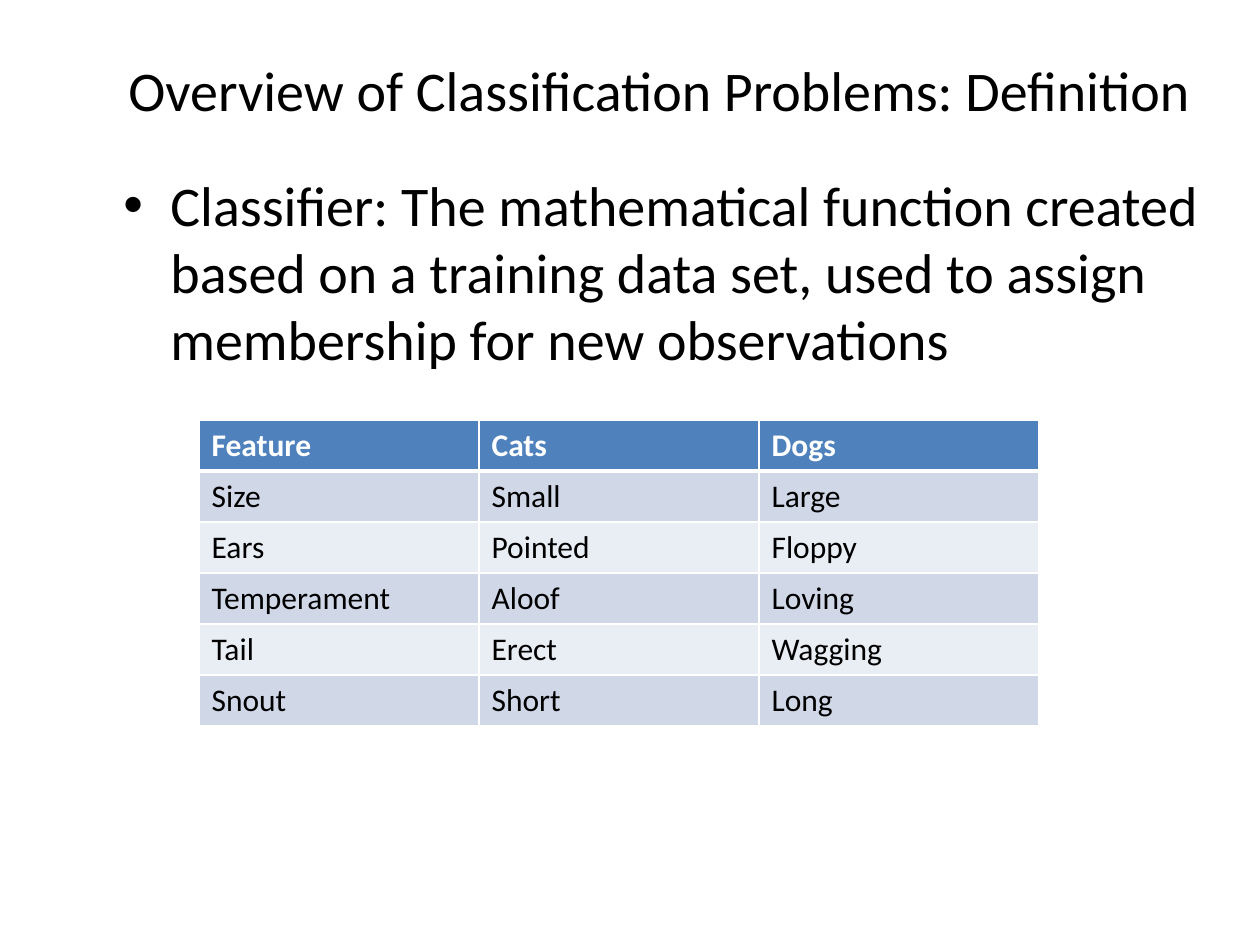
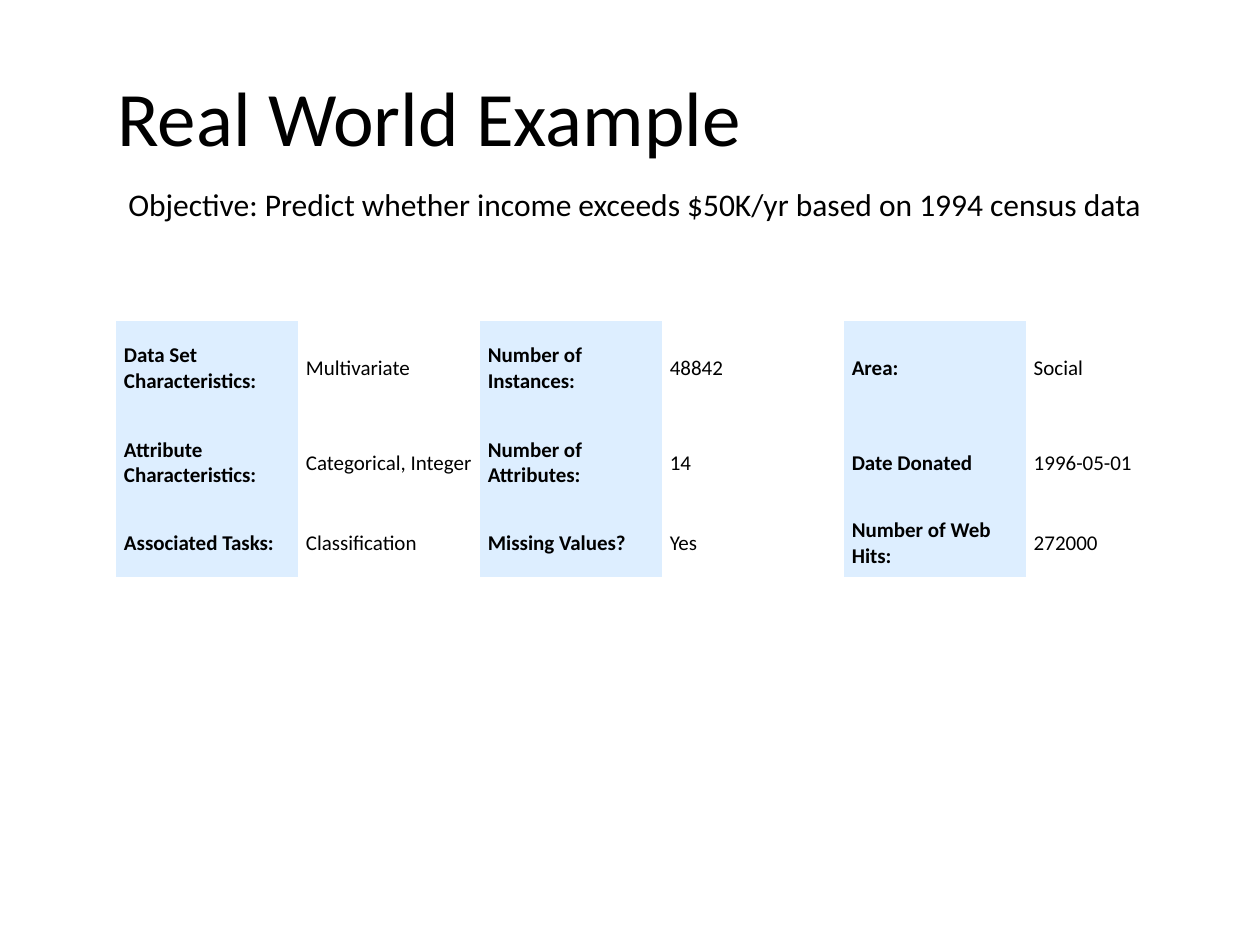
from lxml import etree
from pptx import Presentation, util as u
from pptx.dml.color import RGBColor
from pptx.enum import text
from pptx.oxml import ns

PX = 914400 / 126
NO_STYLE = "{2D5ABB26-0587-4C30-8999-92F81FD0307C}"
BLACK, WHITE = "000000", "FFFFFF"
HEADER, BAND_DARK, BAND_LIGHT = "4F81BD", "D0D8E8", "E9EDF4"
LABEL = "DDEEFF"
MIDDLE = text.MSO_ANCHOR.MIDDLE


def px(n):
    return u.Emu(round(n * PX))


def rgb(value):
    return RGBColor.from_string(value)


def set_all(obj, values):
    for name, value in values.items():
        setattr(obj, name, value)


def add_xml(parent, tag, **attrs):
    return etree.SubElement(parent, ns.qn(tag), attrs)


class Deck:
    """Holds the shared style and the slide being filled."""

    font = "Calibri"

    def __init__(self, width, height):
        self.prs = Presentation()
        set_all(self.prs, {"slide_width": px(width), "slide_height": px(height)})
        self.s = None

    def slide(self):
        self.s = self.prs.slides.add_slide(self.prs.slide_layouts[6])

    def add_words(self, p, words, size, color=BLACK, bold=False):
        r = p.add_run()
        r.text = words
        set_all(r.font, {"name": self.font, "size": u.Pt(size), "bold": bold})
        r.font.color.rgb = rgb(color)

    def textbox(self, box, words, size, anchor=text.MSO_ANCHOR.TOP):
        tf = self.s.shapes.add_textbox(*map(px, box)).text_frame
        set_all(tf, {"word_wrap": True, "vertical_anchor": anchor})
        p = tf.paragraphs[0]
        self.add_words(p, words, size)
        return p

    def title(self, left, top, words, size):
        self.textbox((left, top, 1113, 158), words, size, MIDDLE)

    def bullet(self, box, words, size):
        p = self.textbox(box, words, size)
        p.space_before = u.Pt(size * 0.2)
        pPr = p._p.get_or_add_pPr()
        pPr.set("marL", str(px(47)))
        pPr.set("indent", str(-px(47)))
        add_xml(pPr, "a:buFont", typeface="Arial")
        add_xml(pPr, "a:buChar", char="•")

    def borders(self, cell, color, widths):
        """Draw cell edges; widths maps L, R, T and B, in that order, to points."""
        tcPr = cell._tc.get_or_add_tcPr()
        for side, width in widths.items():
            ln = add_xml(tcPr, f"a:ln{side}", w=str(u.Pt(width)))
            add_xml(add_xml(ln, "a:solidFill"), "a:srgbClr", val=color)

    def table(self, left, top, col_width, heights, rows, size, style, inset=None):
        """Add a table; style(row, col) gives fill, font colour, bold and edge widths."""
        cols = len(rows[0])
        frame = self.s.shapes.add_table(len(rows), cols, px(left), px(top),
                                        px(col_width * cols), px(sum(heights)))
        table = frame.table
        set_all(table, {"first_row": False, "horz_banding": False})
        table._tbl.tblPr.find(ns.qn("a:tableStyleId")).text = NO_STYLE
        for col in table.columns:
            col.width = px(col_width)
        for i, (row, height) in enumerate(zip(rows, heights)):
            table.rows[i].height = px(height)
            for j, words in enumerate(row):
                cell = table.cell(i, j)
                fill, color, bold, edges = style(i, j)
                self.borders(cell, WHITE, edges)
                if fill:
                    cell.fill.solid()
                    cell.fill.fore_color.rgb = rgb(fill)
                else:
                    cell.fill.background()
                if inset:
                    cell.vertical_anchor = MIDDLE
                    set_all(cell, {f"margin_{side}": px(inset)
                                   for side in ("left", "right", "top", "bottom")})
                self.add_words(cell.text_frame.paragraphs[0], words, size, color, bold)


def banded(row, col):
    edges = {"L": 1, "R": 1, "T": 3 if row == 1 else 1, "B": 1}
    if row == 0:
        return HEADER, WHITE, True, {**edges, "B": 3}
    return (BAND_DARK if row % 2 else BAND_LIGHT), BLACK, False, edges


def label_value(row, col):
    is_label = col % 2 == 0
    return (LABEL if is_label else None), BLACK, is_label, {}


FEATURES = [
    ("Feature", "Cats", "Dogs"),
    ("Size", "Small", "Large"),
    ("Ears", "Pointed", "Floppy"),
    ("Temperament", "Aloof", "Loving"),
    ("Tail", "Erect", "Wagging"),
    ("Snout", "Short", "Long"),
]
DATA_SET = [
    ("Data Set Characteristics:", "Multivariate", "Number of Instances:", "48842",
     "Area:", "Social"),
    ("Attribute Characteristics:", "Categorical, Integer", "Number of Attributes:", "14",
     "Date Donated", "1996-05-01"),
    ("Associated Tasks:", "Classification", "Missing Values?", "Yes",
     "Number of Web Hits:", "272000"),
]


def main():
    deck = Deck(1260, 945)

    deck.slide()
    deck.bullet((111, 164, 1113, 220),
                "Classifier: The mathematical function created based on a training "
                "data set, used to assign membership for new observations", 32)
    deck.title(116, 10, "Overview of Classification Problems: Definition", 32)
    deck.table(199, 420, 280, [51] * len(FEATURES), FEATURES, 18, banded)

    deck.slide()
    deck.title(105, 37, "Real World Example", 44)
    deck.table(116, 321, 182, [95, 94, 67], DATA_SET, 12, label_value, inset=8)
    deck.textbox((116, 179, 1081, 50),
                 "Objective: Predict whether income exceeds $50K/yr "
                 "based on 1994 census data", 18)

    deck.prs.save("out.pptx")


if __name__ == "__main__":
    main()
